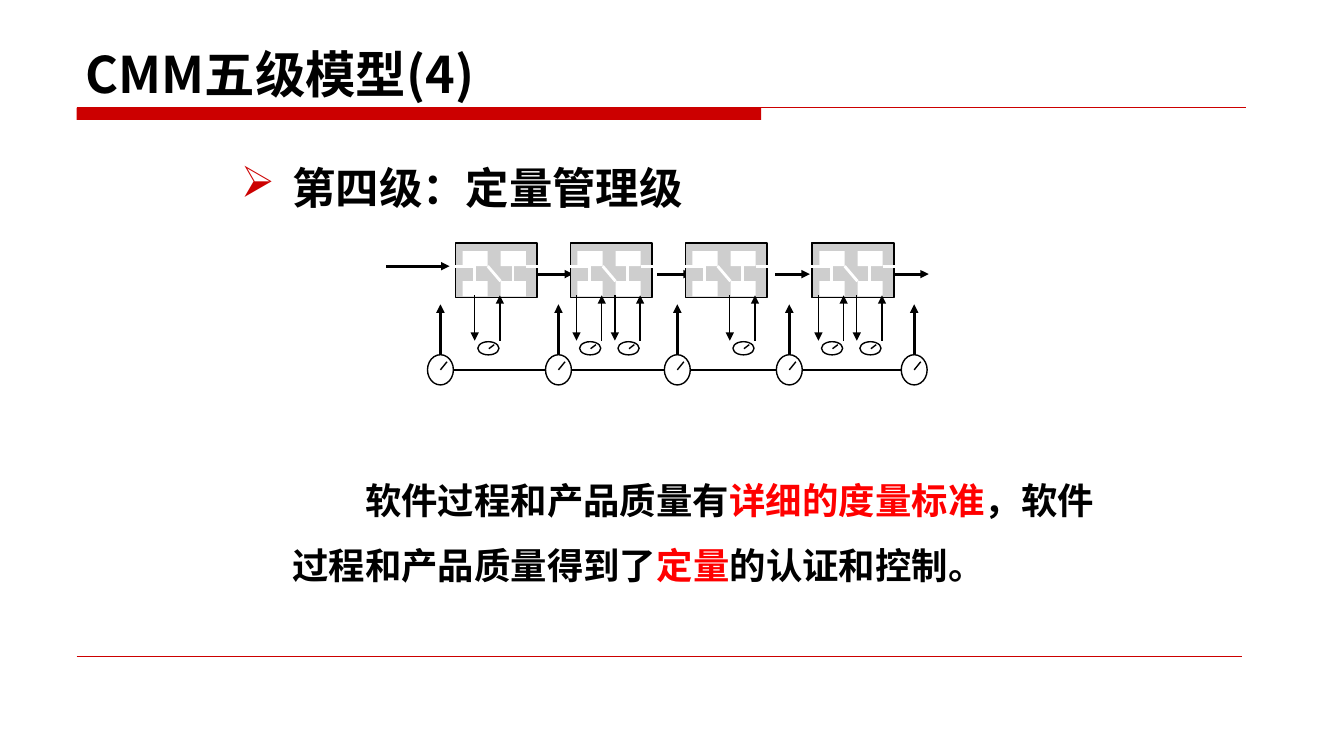
from dataclasses import dataclass

from lxml import etree
from pptx import Presentation
from pptx.dml.color import RGBColor
from pptx.enum.shapes import MSO_CONNECTOR, MSO_SHAPE
from pptx.enum.text import MSO_ANCHOR
from pptx.oxml.ns import qn
from pptx.util import Pt

RECTANGLE = MSO_SHAPE.RECTANGLE
OVAL = MSO_SHAPE.OVAL
STRAIGHT = MSO_CONNECTOR.STRAIGHT
TOP, BOTTOM = MSO_ANCHOR.TOP, MSO_ANCHOR.BOTTOM

FONT = "Noto Sans CJK SC"
BLACK, WHITE, GREY = "000000", "FFFFFF", "CECECE"
THEME_RED, TEXT_RED = "CC0000", "FF0000"

STAGE_TOP, STAGE_WIDTH, STAGE_HEIGHT = 173.5, 58.3, 38.9
UPPER_LANE, LOWER_LANE = 190.1, 200.9
FLOW_Y, FLOW_LENGTH = 195.8, 24.8
FLOW_STARTS = (384.5, 469.4, 553.7, 638.6)
DIAL_Y, DIAL_WIDTH, DIAL_HEIGHT = 264.2, 18.5, 21.6
DIAL_CENTRES = (314.6, 398.9, 483.8, 563.8, 653)
CELL_OFFSETS = (5, 32.2)
CELL_TOPS = (179.3, 200.9)
LANES = (
    (-4.3, UPPER_LANE, 13.7, UPPER_LANE),
    (13.7, UPPER_LANE, 13.7, LOWER_LANE),
    (23, UPPER_LANE, 32.2, LOWER_LANE),
    (41, LOWER_LANE, 41, UPPER_LANE),
    (50.4, UPPER_LANE, 59.6, UPPER_LANE),
)


@dataclass(frozen=True)
class Stage:
    left: float
    gauge_offsets: tuple[float, ...]


@dataclass(frozen=True)
class Span:
    text: str
    color: str = BLACK


STAGES = (
    Stage(325.4, (13.7,)),
    Stage(407.5, (4.3, 31.7)),
    Stage(489.6, (31.7,)),
    Stage(580.3, (4.3, 31.7)),
)

deck = Presentation()
deck.slide_width, deck.slide_height = Pt(960), Pt(540)
page = deck.slides.add_slide(deck.slide_layouts[6])


def rgb(value: str) -> RGBColor:
    return RGBColor.from_string(value)


def add_box(kind: MSO_SHAPE, left: float, top: float, width: float, height: float,
            fill: str, outline: str | None = None) -> None:
    box = page.shapes.add_shape(kind, Pt(left), Pt(top), Pt(width), Pt(height))
    box.shadow.inherit = False
    box.fill.solid()
    box.fill.fore_color.rgb = rgb(fill)
    if outline:
        box.line.color.rgb = rgb(outline)
        box.line.width = Pt(1)
    else:
        box.line.fill.background()


def add_line(x1: float, y1: float, x2: float, y2: float, color: str = BLACK,
             width: float = 1, arrow: bool = False) -> None:
    line = page.shapes.add_connector(STRAIGHT, Pt(x1), Pt(y1), Pt(x2), Pt(y2))
    line.line.color.rgb = rgb(color)
    line.line.width = Pt(width)
    if arrow:
        outline = line.line._get_or_add_ln()
        etree.SubElement(outline, qn("a:tailEnd"), type="triangle")
    etree.SubElement(line._element.spPr, qn("a:effectLst"))


def add_text(spans: tuple[Span, ...], *, left: float, top: float, width: float,
             height: float, size: float, anchor: MSO_ANCHOR = TOP,
             margin: float = 0, indent: float = 0, spacing: float | None = None,
             bullet: str | None = None) -> None:
    box = page.shapes.add_textbox(Pt(left), Pt(top), Pt(width), Pt(height))
    frame = box.text_frame
    frame.word_wrap = True
    frame.vertical_anchor = anchor
    frame.margin_left = frame.margin_right = 0
    frame.margin_top = frame.margin_bottom = 0
    para = frame.paragraphs[0]
    if spacing:
        para.line_spacing = Pt(spacing)
    properties = para._p.get_or_add_pPr()
    properties.set("marL", str(Pt(margin)))
    properties.set("indent", str(Pt(indent)))
    if bullet:
        bullet_color = etree.SubElement(properties, qn("a:buClr"))
        etree.SubElement(bullet_color, qn("a:srgbClr"), val=THEME_RED)
        etree.SubElement(properties, qn("a:buChar"), char=bullet)
    for span in spans:
        run = para.add_run()
        run.text = span.text
        run.font.name = FONT
        run.font.size = Pt(size)
        run.font.bold = True
        run.font.color.rgb = rgb(span.color)
        etree.SubElement(run._r.get_or_add_rPr(), qn("a:ea"), typeface=FONT)


def add_stage(stage: Stage) -> None:
    add_box(RECTANGLE, stage.left, STAGE_TOP, STAGE_WIDTH, STAGE_HEIGHT, GREY, BLACK)
    for offset in CELL_OFFSETS:
        for top in CELL_TOPS:
            add_box(RECTANGLE, stage.left + offset, top, 18, 10.8, WHITE)
    for x1, y1, x2, y2 in LANES:
        add_line(stage.left + x1, y1, stage.left + x2, y2, WHITE, 2)


def add_gauge(left: float) -> None:
    add_box(OVAL, left + 2.2, 244.1, 15.1, 9.4, WHITE, BLACK)
    add_line(left + 10.1, 249.1, left + 13.9, 246.2)
    add_line(left, 211, left, 243.4, arrow=True)
    add_line(left + 18, 243.4, left + 18, 211, arrow=True)


def add_dial(centre: float) -> None:
    add_box(OVAL, centre - DIAL_WIDTH / 2, DIAL_Y - DIAL_HEIGHT / 2,
            DIAL_WIDTH, DIAL_HEIGHT, WHITE, BLACK)
    add_line(centre, DIAL_Y, centre + 4.7, DIAL_Y - 5.8)


def add_diagram() -> None:
    add_line(275.8, UPPER_LANE, 321.1, UPPER_LANE, width=2, arrow=True)
    for start in FLOW_STARTS:
        add_line(start, FLOW_Y, start + FLOW_LENGTH, FLOW_Y, width=2, arrow=True)
    for centre in DIAL_CENTRES:
        add_line(centre, DIAL_Y, centre, 217.4, width=2, arrow=True)
    add_line(DIAL_CENTRES[0], DIAL_Y, DIAL_CENTRES[-1], DIAL_Y)
    for centre in DIAL_CENTRES:
        add_dial(centre)
    add_box(RECTANGLE, 579.6, STAGE_TOP, STAGE_WIDTH, STAGE_HEIGHT, GREY, BLACK)
    for stage in STAGES:
        add_stage(stage)
    for stage in STAGES:
        for offset in stage.gauge_offsets:
            add_gauge(stage.left + offset)


def main() -> None:
    add_box(RECTANGLE, 54.7, 77, 489, 8.6, THEME_RED)
    add_line(54.7, 77, 890, 77, THEME_RED, 0.75)
    add_line(54.7, 468.7, 887, 468.7, THEME_RED, 0.25)
    add_text((Span("CMM五级模型(4)"),), left=61.2, top=21, width=826, height=53.2,
             size=36, anchor=BOTTOM)
    add_text((Span("第四级：定量管理级"),), left=172.1, top=115, width=633, height=46,
             size=31, margin=36.7, indent=-36.7, bullet="➢")
    add_diagram()
    add_text((
        Span("软件过程和产品质量有"),
        Span("详细的度量标准", TEXT_RED),
        Span("，软件过程和产品质量得到了"),
        Span("定量", TEXT_RED),
        Span("的认证和控制。"),
    ), left=208.8, top=325.4, width=596, height=96, size=26, indent=52, spacing=47)
    deck.save("out.pptx")


if __name__ == "__main__":
    main()
